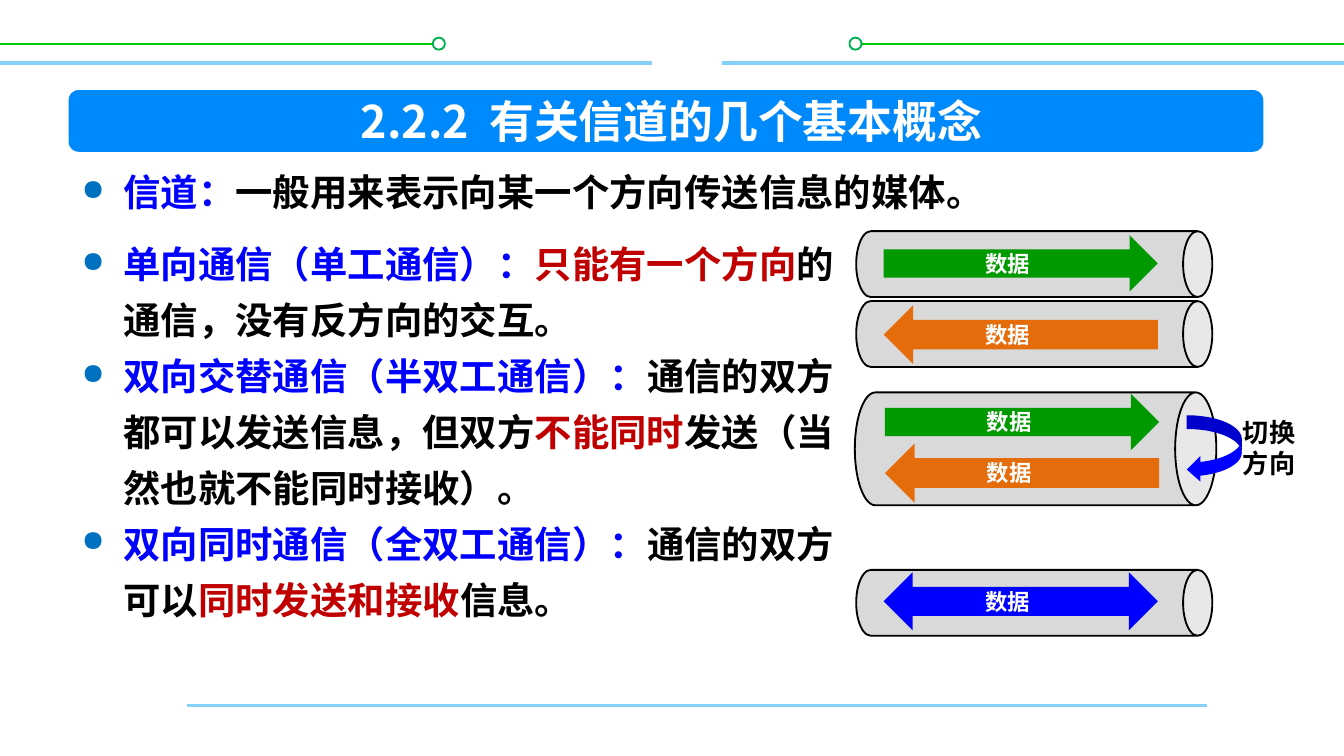
from lxml import etree
from pptx import Presentation
from pptx.dml.color import RGBColor
from pptx.enum import shapes, text
from pptx.oxml.ns import qn
from pptx.util import Inches, Pt

FONT = "Noto Sans CJK SC"
BLACK, WHITE, BLUE, RED = "000000", "FFFFFF", "0000FF", "C00000"
GREEN, ORANGE, SKY = "009900", "E46C0A", "85D1F7"
SHAPE = shapes.MSO_SHAPE

SIMPLEX = [
    ("单向通信（单工通信）：", BLUE),
    ("只能有一个方向", RED),
    ("的通信，没有反方向的交互。", BLACK),
]
HALF_DUPLEX = [
    ("双向交替通信（半双工通信）：", BLUE),
    ("通信的双方都可以发送信息，但双方", BLACK),
    ("不能同时", RED),
    ("发送（当然也就不能同时接收）。", BLACK),
]
FULL_DUPLEX = [
    ("双向同时通信（全双工通信）：", BLUE),
    ("通信的双方可以", BLACK),
    ("同时发送和接收", RED),
    ("信息。", BLACK),
]
CHANNEL = [("信道：", BLUE), ("一般用来表示向某一个方向传送信息的媒体。", BLACK)]


def rgb(value):
    """Turn a hex string into a colour."""
    return RGBColor.from_string(value)


def add_line(slide, x1, x2, y, color, width):
    """Draw a horizontal rule."""
    rule = slide.shapes.add_connector(
        shapes.MSO_CONNECTOR.STRAIGHT, Inches(x1), Inches(y), Inches(x2), Inches(y))
    rule.line.color.rgb = rgb(color)
    rule.line.width = Pt(width)
    etree.SubElement(rule._element.spPr, qn("a:effectLst"))


def add_shape(slide, kind, box, fill, outline=None, adjustments=()):
    """Draw a filled preset shape without shadow."""
    shape = slide.shapes.add_shape(kind, *map(Inches, box))
    shape.shadow.inherit = False
    shape.fill.solid()
    shape.fill.fore_color.rgb = rgb(fill)
    if outline:
        shape.line.color.rgb = rgb(outline)
        shape.line.width = Pt(1)
    else:
        shape.line.fill.background()
    for index, value in enumerate(adjustments):
        shape.adjustments[index] = value
    return shape


def add_text(slide, box, paragraphs, size, wrap=True, bullet=False):
    """Place bold paragraphs, each a list of (wording, colour) runs."""
    frame = slide.shapes.add_textbox(*map(Inches, box)).text_frame
    frame.word_wrap = wrap
    for index, runs in enumerate(paragraphs):
        paragraph = frame.add_paragraph() if index else frame.paragraphs[0]
        if bullet:
            add_bullet(paragraph)
        paragraph.font.size = Pt(size)
        paragraph.font.bold = True
        paragraph.font.name = FONT
        for wording, color in runs:
            run = paragraph.add_run()
            run.text = wording
            run.font.color.rgb = rgb(color)
            etree.SubElement(run.font._element, qn("a:ea"), typeface=FONT)
    return frame


def add_bullet(paragraph):
    """Give a paragraph a blue disc, a hanging indent and fixed leading."""
    paragraph.line_spacing = Pt(30)
    properties = paragraph._p.get_or_add_pPr()
    properties.set("marL", str(Inches(0.31)))
    properties.set("indent", str(-Inches(0.31)))
    color = etree.SubElement(properties, qn("a:buClr"))
    etree.SubElement(color, qn("a:srgbClr"), val="0070C0")
    etree.SubElement(properties, qn("a:buSzPct"), val="78000")
    etree.SubElement(properties, qn("a:buChar"), char="●")


def add_decoration(slide):
    """Draw the rules and rings at the top and foot of the slide."""
    for start, end, ring in ((0, 3.24, 3.22), (6.32, 10, 6.32)):
        add_line(slide, start, end, 0.33, "00CC00", 1)
        add_shape(slide, SHAPE.OVAL, (ring, 0.28, 0.09, 0.09), WHITE, "00B050")
    add_line(slide, 1.39, 8.98, 5.25, SKY, 1.5)
    add_line(slide, 0, 10, 0.47, SKY, 2)
    add_shape(slide, SHAPE.RECTANGLE, (4.85, 0.14, 0.52, 0.51), WHITE)


def add_title(slide, left, top, width, height):
    """Draw the title bar with its centred heading."""
    add_shape(slide, SHAPE.ROUNDED_RECTANGLE, (left, top, width, height), "0089FA",
              adjustments=[0.167])
    heading = add_text(slide, (left + 0.86, top + 0.03, 7.25, 0.4),
                       [[("2.2.2  有关信道的几个基本概念", WHITE)]], 24)
    heading.vertical_anchor = text.MSO_ANCHOR.MIDDLE
    heading.paragraphs[0].alignment = text.PP_ALIGN.CENTER


def add_pipe(slide, left, top, width, height, curve, arrows):
    """Lay a can on its side and put labelled data arrows in it."""
    can = add_shape(slide, SHAPE.CAN,
                    (left + (width - height) / 2, top + (height - width) / 2, height, width),
                    "D9D9D9", BLACK, [curve])
    can.rotation = 90
    arrow_width = 2.04
    arrow_left = left + (width - arrow_width) / 2 - 0.1
    for kind, offset, arrow_height, color in arrows:
        arrow_top = top + offset
        add_shape(slide, kind, (arrow_left, arrow_top, arrow_width, arrow_height), color)
        label_top = arrow_top + (arrow_height - 0.3) / 2
        add_text(slide, (arrow_left + 0.66, label_top, 0.54, 0.3),
                 [[("数据", WHITE)]], 12, wrap=False)


def add_switch(slide, left, top):
    """Draw the curved arrow that marks the change of direction."""
    add_shape(slide, SHAPE.CURVED_LEFT_ARROW, (left, top, 0.41, 0.5), BLUE,
              adjustments=[0.25, 0.467, 0.25])
    add_text(slide, (left + 0.32, top - 0.04, 0.59, 0.57),
             [[("切换", BLACK)], [("方向", BLACK)]], 14, wrap=False)


def main():
    """Build the slide and save it."""
    deck = Presentation()
    deck.slide_width = Inches(10)
    deck.slide_height = deck.slide_width * 9 // 16
    slide = deck.slides.add_slide(deck.slide_layouts[6])
    add_decoration(slide)
    add_title(slide, 0.51, 0.67, 8.89, 0.46)
    add_text(slide, (0.51, 1.13, 8.86, 3.47), [CHANNEL], 20, bullet=True)
    add_text(slide, (0.51, 1.66, 5.96, 3.47),
             [SIMPLEX, HALF_DUPLEX, FULL_DUPLEX], 20, bullet=True)
    single_pipes = (
        (1.72, (SHAPE.RIGHT_ARROW, 0.03, 0.42, GREEN)),
        (2.24, (SHAPE.LEFT_ARROW, 0.03, 0.44, ORANGE)),
        (4.24, (SHAPE.LEFT_RIGHT_ARROW, 0.02, 0.43, BLUE)),
    )
    for top, arrow in single_pipes:
        add_pipe(slide, 6.37, top, 2.65, 0.49, 0.444, [arrow])
    add_pipe(slide, 6.36, 2.92, 2.69, 0.84, 0.365, [
        (SHAPE.RIGHT_ARROW, 0.01, 0.42, GREEN),
        (SHAPE.LEFT_ARROW, 0.38, 0.44, ORANGE),
    ])
    add_switch(slide, 8.83, 3.09)
    deck.save("out.pptx")


if __name__ == "__main__":
    main()
